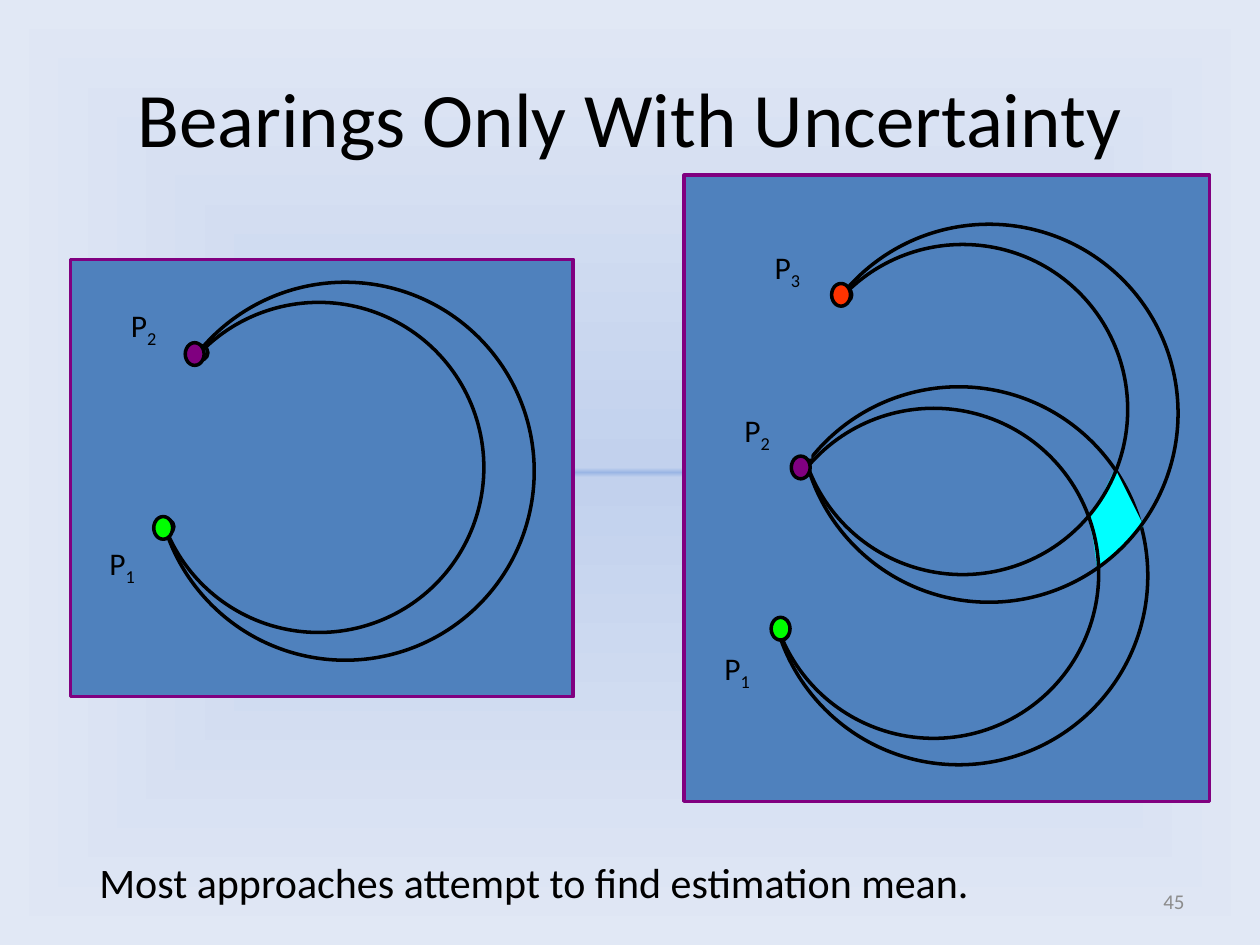
from lxml import etree
from pptx import Presentation
from pptx.dml.color import RGBColor
from pptx.enum.shapes import MSO_SHAPE
from pptx.enum.text import MSO_ANCHOR, PP_ALIGN
from pptx.util import Emu, Pt

RECT, OVAL = MSO_SHAPE.RECTANGLE, MSO_SHAPE.OVAL
TOP, MIDDLE = MSO_ANCHOR.TOP, MSO_ANCHOR.MIDDLE
LEFT, CENTER, RIGHT = PP_ALIGN.LEFT, PP_ALIGN.CENTER, PP_ALIGN.RIGHT

FONT = "Calibri"
BLACK, BLUE, PURPLE = "000000", "4F81BD", "800080"
CYAN, GREEN, RED = "00FFFF", "00FF00", "FF3300"
INNER, OUTER = 262, 300  # circle diameters
TILT = 25.6
A_NS = "http://schemas.openxmlformats.org/drawingml/2006/main"


def px(n):
    """100 px to the inch."""
    return Emu(n * 9144)


def rgb(hex_text):
    return RGBColor.from_string(hex_text)


def set_background(slide, stops):
    """Rectangular gradient that runs outward from the slide's centre."""
    slide.background.fill.gradient()
    grad = next(slide.background._cSld.iter(f"{{{A_NS}}}gradFill"))
    for child in list(grad):
        grad.remove(child)
    gs_list = etree.SubElement(grad, f"{{{A_NS}}}gsLst")
    for pos, color in stops:
        gs = etree.SubElement(gs_list, f"{{{A_NS}}}gs", pos=str(pos * 1000))
        etree.SubElement(gs, f"{{{A_NS}}}srgbClr", val=color)
    shade = etree.SubElement(grad, f"{{{A_NS}}}path")
    shade.set("path", "shape")
    etree.SubElement(shade, f"{{{A_NS}}}fillToRect",
                     l="50000", t="50000", r="50000", b="50000")


def style(sp, fill=None, line=None):
    sp.shadow.inherit = False
    if fill:
        sp.fill.solid()
        sp.fill.fore_color.rgb = rgb(fill)
    else:
        sp.fill.background()
    if line:
        sp.line.color.rgb = rgb(line)
        sp.line.width = Pt(2)
    else:
        sp.line.fill.background()


def add_shape(shapes, kind, x, y, w, h, fill=None, line=None, rotation=0):
    sp = shapes.add_shape(kind, px(x), px(y), px(w), px(h))
    sp.rotation = rotation
    style(sp, fill, line)


def add_run(p, text, size, color=BLACK):
    r = p.add_run()
    r.text = text
    r.font.name = FONT
    r.font.size = Pt(size)
    r.font.color.rgb = rgb(color)
    return r


def add_text(shapes, x, y, w, h, align=LEFT, anchor=TOP):
    """Add an empty text box and return its paragraph."""
    tf = shapes.add_textbox(px(x), px(y), px(w), px(h)).text_frame
    tf.word_wrap = True
    tf.vertical_anchor = anchor
    p = tf.paragraphs[0]
    p.alignment = align
    return p


def add_label(shapes, x, y, number):
    p = add_text(shapes, x, y, 60, 52, CENTER)
    add_run(p, "P", 18)
    sub = add_run(p, number, 18)
    sub.font._element.set("baseline", "-25000")


def add_circle(shapes, x, y, size):
    add_shape(shapes, OVAL, x, y, size, size, line=BLACK)


def add_anchor(shapes, x, y):
    add_shape(shapes, OVAL, x, y, 12, 12, BLUE, BLACK)


def add_mask(shapes, x, y, w, h, rotation=0):
    """Cover the part of the circles left of the landmarks."""
    add_shape(shapes, RECT, x, y, w, h, BLUE, rotation=rotation)


def add_landmark(shapes, x, y, color):
    add_shape(shapes, OVAL, x, y, 15, 18, color, BLACK)


def add_region(shapes, points):
    (x, y), *rest = [(px(a), px(b)) for a, b in points]
    builder = shapes.build_freeform(x, y)
    builder.add_line_segments(rest, close=True)
    style(builder.convert_to_shape(), CYAN, CYAN)


def add_two_landmarks(shapes):
    add_shape(shapes, RECT, 56, 206, 399, 347, BLUE, PURPLE)
    add_circle(shapes, 122, 240, INNER)
    add_circle(shapes, 124, 224, OUTER)
    add_label(shapes, 67, 427, "1")
    add_label(shapes, 84, 238, "2")
    add_anchor(shapes, 126, 412)
    add_anchor(shapes, 153, 274)
    add_mask(shapes, 104, 317, 42, 93)
    add_mask(shapes, 122, 283, 25, 91, TILT)
    add_landmark(shapes, 147, 272, PURPLE)
    add_landmark(shapes, 122, 410, GREEN)


def add_three_landmarks(shapes):
    add_shape(shapes, RECT, 543, 139, 417, 497, BLUE, PURPLE)
    add_circle(shapes, 611, 307, OUTER)
    add_label(shapes, 555, 510, "1")
    add_label(shapes, 571, 321, "2")
    add_label(shapes, 595, 192, "3")
    add_anchor(shapes, 614, 496)
    add_anchor(shapes, 664, 228)
    # Overlap of the two bands
    add_region(shapes, [(865, 411), (875, 396), (885, 375),
                        (906, 417), (872, 450), (869, 428)])
    add_circle(shapes, 633, 194, INNER)
    add_circle(shapes, 635, 178, OUTER)
    add_circle(shapes, 610, 324, INNER)
    add_mask(shapes, 633, 237, 25, 91, TILT)
    add_mask(shapes, 626, 271, 18, 93)
    add_mask(shapes, 604, 365, 20, 91, TILT)
    add_mask(shapes, 592, 400, 42, 93)
    add_landmark(shapes, 628, 362, PURPLE)
    add_landmark(shapes, 660, 225, RED)
    add_landmark(shapes, 612, 490, GREEN)


def add_title(slide, text):
    title = slide.shapes.title
    title.left, title.top, title.width, title.height = map(px, (50, 30, 900, 125))
    tf = title.text_frame
    tf.vertical_anchor = MIDDLE
    p = tf.paragraphs[0]
    p.alignment = CENTER
    add_run(p, text, 44)


def main():
    prs = Presentation()
    prs.slide_width, prs.slide_height = px(1000), px(750)
    slide = prs.slides.add_slide(prs.slide_layouts[5])
    shapes = slide.shapes
    set_background(slide, [(0, "9AB5E4"), (1, "C2D1ED"), (100, "E1E8F5")])

    # Title and page number
    add_title(slide, "Bearings Only With Uncertainty")
    add_run(add_text(shapes, 717, 695, 233, 40, RIGHT, MIDDLE), "45", 12, "8C8C8C")

    # Diagrams
    add_three_landmarks(shapes.add_group_shape().shapes)
    add_two_landmarks(shapes.add_group_shape().shapes)

    # Caption
    add_run(add_text(shapes, 69, 675, 884, 46),
            "Most approaches attempt to find estimation mean.", 24)
    prs.save("out.pptx")


if __name__ == "__main__":
    main()
